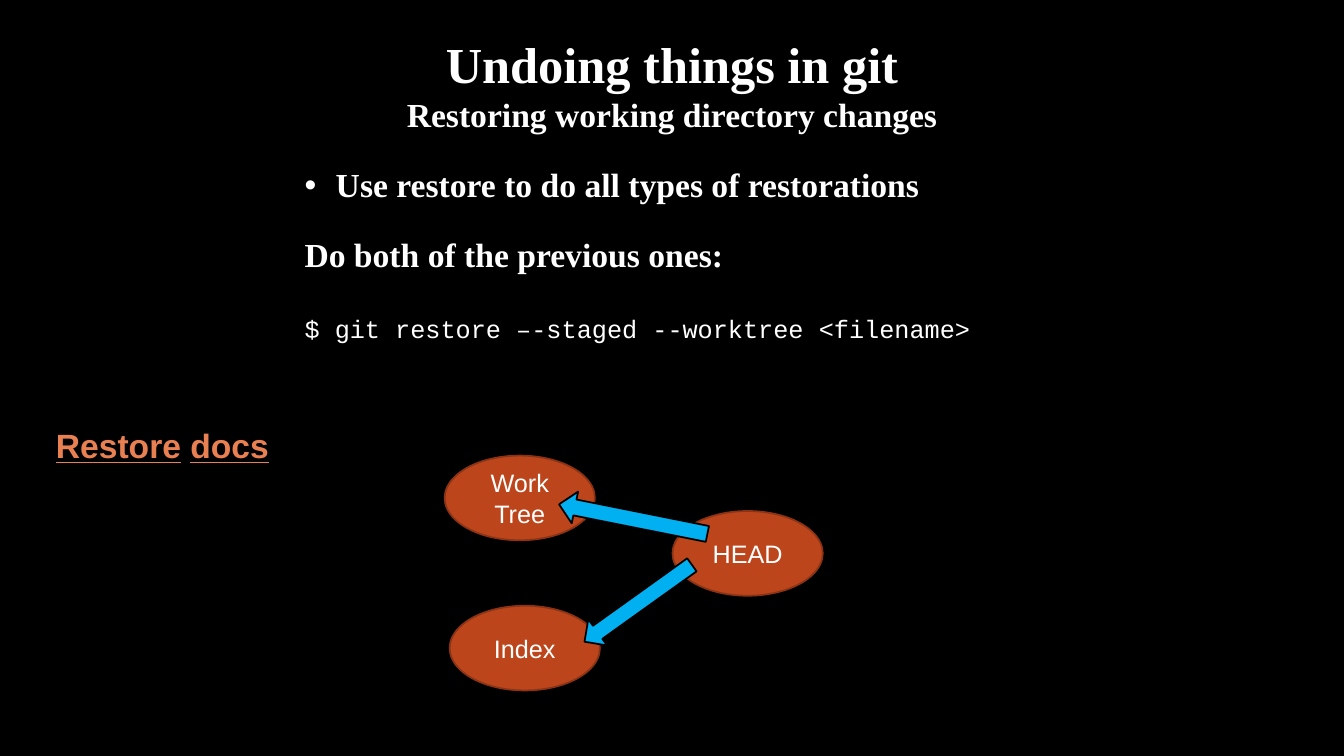
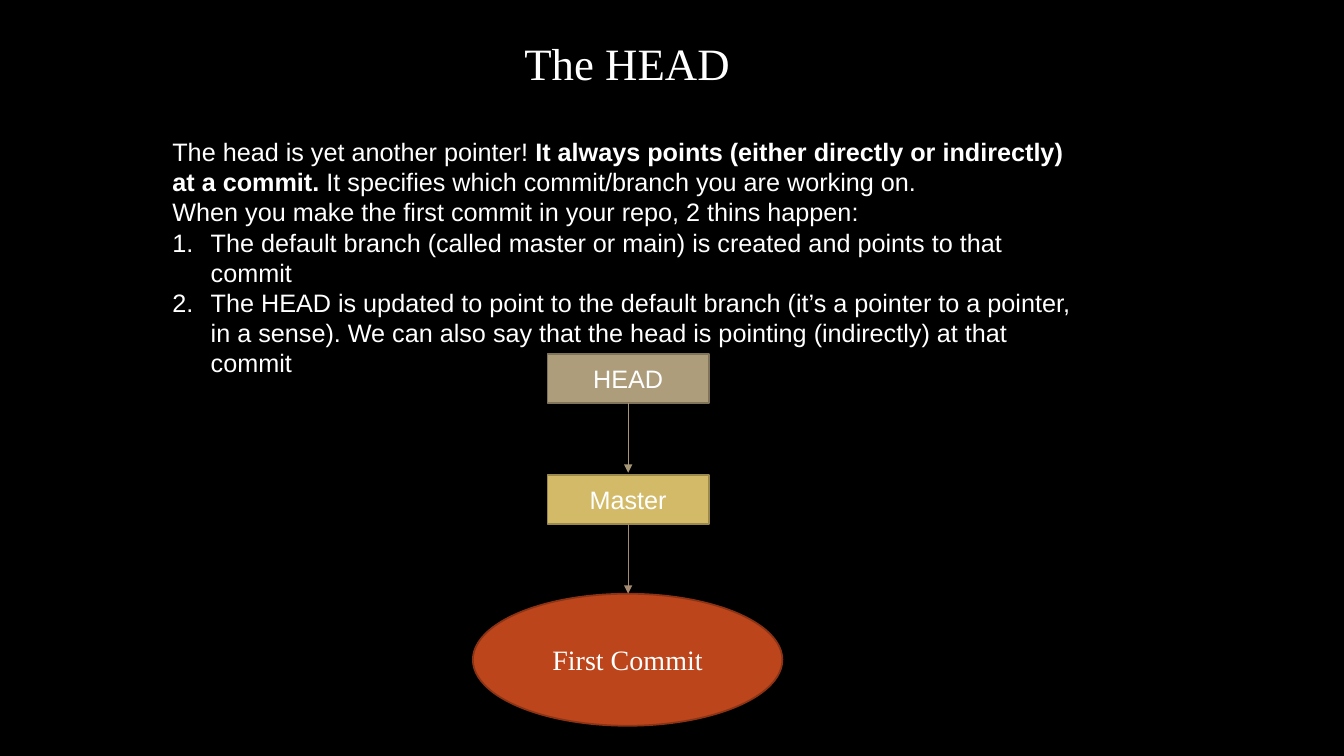
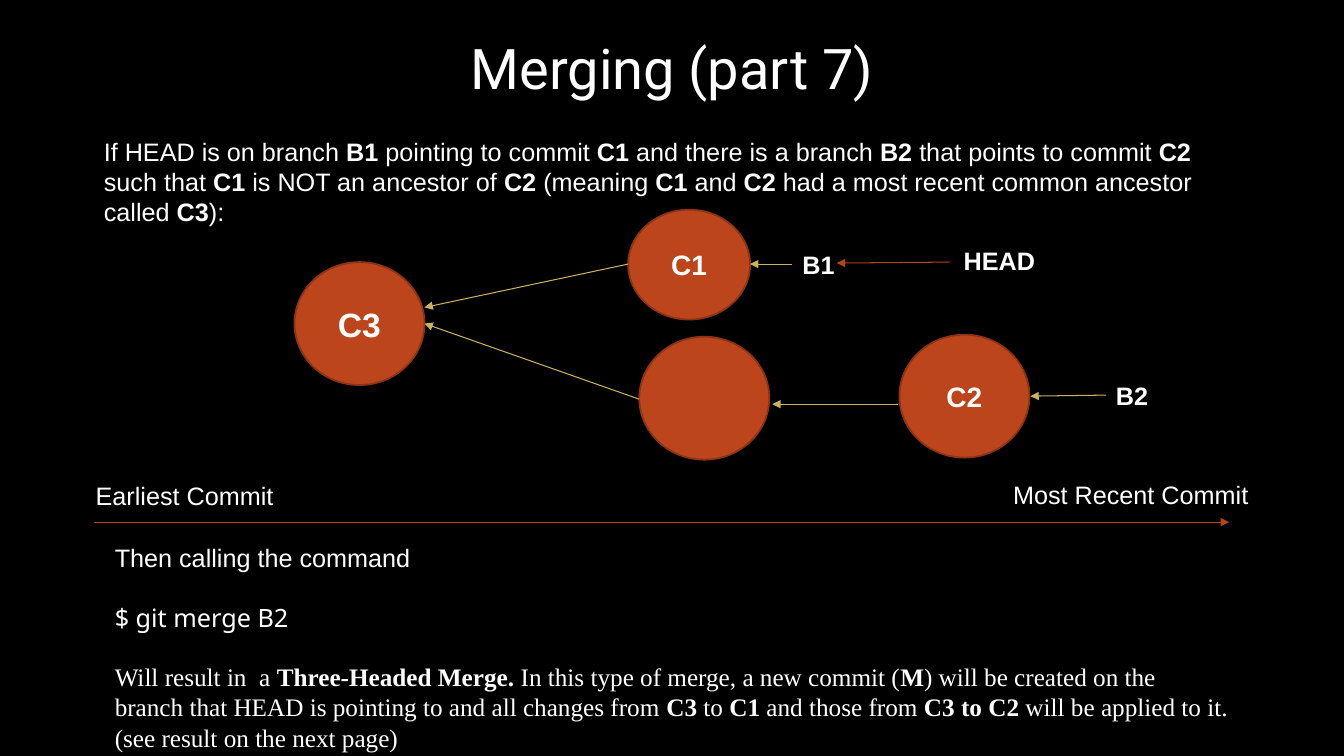
from lxml import etree
from pptx import Presentation
from pptx import util as u
from pptx.dml import color
from pptx.enum import shapes, text
from pptx.oxml import ns

HUES = {
    "back": "000000", "text": "FFFFFF", "link": "E98052",
    "rust": "BC451B", "rim": "8B3314", "blue": "00B0F0",
    "gold": "D3BA68", "gold rim": "9C8A4D", "sand": "AD9D7B", "sand rim": "80745B",
    "brown": "A58B72", "khaki": "A59675", "straw": "CAB263", "brick": "B4421A",
}
SANS, SERIF, CODE = "Arial", "Times New Roman", "Courier New"
LEFT, MID = text.PP_ALIGN.LEFT, text.PP_ALIGN.CENTER
KIND = shapes.MSO_SHAPE


def hue(name):
    return color.RGBColor.from_string(HUES[name])


def sub(node, tag, **attrs):
    return etree.SubElement(node, ns.qn(tag), **attrs)


class Deck:
    def __init__(self):
        self.file = Presentation()
        self.file.slide_width = u.Inches(13.33)
        self.file.slide_height = u.Inches(7.5)
        fill = self.file.slide_master.background.fill
        fill.solid()
        fill.fore_color.rgb = hue("back")

    def page(self):
        layout = self.file.slide_layouts[1 if True else 0]
        self.slide = self.file.slides.add_slide(layout)

    def run(self, para, words, size=18, font=SANS, bold=False, tint="text", line=None):
        run = para.add_run()
        run.text = words
        face = run.font
        face.size, face.name, face.bold, face.underline = u.Pt(size), font, bold, line
        face.color.rgb = hue(tint)

    def para(self, frame, first, words, align=LEFT, gap=0, mark=None, dent=0, bold=False, **look):
        para = frame.paragraphs[0] if first else frame.add_paragraph()
        para.alignment = align
        para.space_before = u.Pt(gap)
        prop = para._p.get_or_add_pPr()
        prop.set("marL", str(u.Inches(dent)))
        prop.set("indent", str(-u.Inches(dent)))
        if mark == "dot":
            sub(prop, "a:buFont", typeface=SANS)
            sub(prop, "a:buChar", char="•")
        elif mark == "num":
            sub(prop, "a:buFont", typeface=SANS)
            sub(prop, "a:buAutoNum", type="arabicPeriod")
        else:
            sub(prop, "a:buNone")
        for i, part in enumerate(words.split("*")):
            if part:
                self.run(para, part, bold=bold or i % 2 == 1, **look)
        return para

    def fill(self, shape, box, paras):
        shape.left, shape.top, shape.width, shape.height = map(u.Inches, box)
        frame = shape.text_frame
        frame.word_wrap = True
        frame.auto_size = text.MSO_AUTO_SIZE.NONE
        frame.vertical_anchor = text.MSO_ANCHOR.TOP
        for i, (words, look) in enumerate(paras):
            self.para(frame, i == 0, words, **look)
        return frame

    def title(self, box, *paras):
        self.fill(self.slide.shapes.title, box, [(w, dict(align=MID, **k)) for w, k in paras])

    def body(self, box, *paras):
        self.fill(self.slide.placeholders[1], box, paras)

    def note(self, box, *paras):
        shape = self.slide.shapes.add_textbox(*map(u.Inches, box))
        return self.fill(shape, box, paras)

    def shape(self, kind, box, words="", fill="rust", rim="rim", turn=0, **look):
        shape = self.slide.shapes.add_shape(kind, *map(u.Inches, box))
        shape.shadow.inherit = False
        shape.rotation = turn
        shape.fill.solid()
        shape.fill.fore_color.rgb = hue(fill)
        shape.line.color.rgb = hue(rim)
        shape.line.width = u.Pt(1.25)
        if words:
            self.para(shape.text_frame, True, words, align=MID, **look)

    def arrow(self, start, end, tint):
        line = self.slide.shapes.add_connector(
            shapes.MSO_CONNECTOR.STRAIGHT, *map(u.Inches, start + end))
        line.line.color.rgb = hue(tint)
        line.line.width = u.Pt(0.75)
        sub(line.line._get_or_add_ln(), "a:tailEnd", type="triangle")
        sub(line._element.spPr, "a:effectLst")


def undo(deck):
    deck.page()
    head = dict(size=24, font=SERIF, bold=True)
    deck.title((2.82, 0.28, 7.69, 1.11),
               ("Undoing things in git", dict(head, size=36)),
               ("Restoring working directory changes", head))
    deck.body((2.92, 1.58, 7.49, 2.22),
              ("Use restore to do all types of restorations", dict(head, mark="dot", dent=0.31)),
              ("Do both of the previous ones:", dict(head, gap=21)),
              ("$ git restore –-staged --worktree <filename>", dict(font=CODE, gap=28)))
    for x, y, words in ((4.41, 4.52, "Work Tree"), (6.67, 5.07, "HEAD"), (4.46, 6.01, "Index")):
        deck.shape(KIND.OVAL, (x, y, 1.49, 0.84), words)
    for box, turn in (((6.12, 4.4, 0.32, 1.5), 101.3), ((6.17, 5.33, 0.32, 1.31), 54.4)):
        deck.shape(KIND.DOWN_ARROW, box, fill="blue", rim="back", turn=turn)
    para = deck.note((0.4, 4.17, 2.42, 0.5), ("", dict(align=MID))).paragraphs[0]
    for words, tint, line in (("Restore", "link", True), (" ", "text", False), ("docs", "link", True)):
        deck.run(para, words, size=24, bold=True, tint=tint, line=line)


def head(deck):
    deck.page()
    deck.title((2.93, 0.3, 6.58, 0.64), ("The HEAD", dict(size=32, font=SERIF)))
    step = dict(mark="num", dent=0.38)
    deck.body((1.61, 1.3, 9.21, 2.52),
              ("The head is yet another pointer! *It always points (either directly or indirectly) "
               "at a commit. *It specifies which commit/branch you are working on.", {}),
              ("When you make the first commit in your repo, 2 thins happen:", {}),
              ("The default branch (called master or main) is created and points to that commit", step),
              ("The HEAD is updated to point to the default branch (it’s a pointer to a pointer, "
               "in a sense). We can also say that the head is pointing (indirectly) at that commit", step))
    deck.shape(KIND.OVAL, (4.69, 5.89, 3.07, 1.31), "First Commit", size=20, font=SERIF)
    for y, words, fill, tint, end in ((3.51, "HEAD", "sand", "khaki", 4.69),
                                      (4.71, "Master", "gold", "brown", 5.89)):
        deck.shape(KIND.RECTANGLE, (5.43, y, 1.6, 0.49), words, fill, fill + " rim")
        deck.arrow((6.23, y + 0.49), (6.23, end), tint)


def merge(deck):
    deck.page()
    deck.title((2.75, 0.28, 7.83, 0.77), ("Merging (part 7)", dict(size=40, font="Roboto")))
    deck.body((0.93, 1.3, 11.47, 0.71),
              ("If HEAD is on branch *B1 *pointing to commit *C1* and there is a branch *B2* that "
               "points to commit *C2* such that *C1* is NOT an ancestor of *C2* (meaning *C1* and "
               "*C2 *had a most recent common ancestor called *C3*):", {}))
    for box, words, size in (((6.23, 2.08, 1.21, 1.09), "C1", 20), ((6.34, 3.34, 1.29, 1.22), "", 20),
                             ((8.92, 3.32, 1.29, 1.22), "C2", 20), ((2.92, 2.6, 1.29, 1.22), "C3", 24)):
        deck.shape(KIND.OVAL, box, words, size=size, bold=True)
    for start, end, tint in (((6.23, 2.62), (4.21, 3.05), "straw"),
                             ((8.91, 4.01), (7.66, 4.01), "straw"),
                             ((6.34, 3.96), (4.21, 3.21), "straw"),
                             ((10.97, 3.92), (10.22, 3.93), "straw"),
                             ((7.86, 2.62), (7.44, 2.62), "straw"),
                             ((9.42, 2.6), (8.3, 2.61), "brick"),
                             ((0.93, 5.18), (12.19, 5.18), "brick")):
        deck.arrow(start, end, tint)
    for x, y, wide, words in ((0.85, 4.72, 2.59, "Earliest Commit"),
                              (9.95, 4.71, 2.59, "Most Recent Commit"),
                              (10.97, 3.72, 0.88, "*B2*"),
                              (9.46, 2.38, 1.39, "*HEAD*"),
                              (7.86, 2.42, 0.79, "*B1*")):
        deck.note((x, y, wide, 0.4), (words, {}))
    deck.note((1.04, 5.33, 11.26, 2.22),
              ("Then calling the command", {}),
              ("$ git merge B2", dict(font="Noto Sans", gap=21)),
              ("Will result in  a *Three-Headed Merge. *In this type of merge, a new commit (*M*) will "
               "be created on the branch that HEAD is pointing to and all changes from *C3* to *C1* "
               "and those from *C3 to C2* will be applied to it. (see result on the next page)",
               dict(font=SERIF, gap=21)))


def main():
    deck = Deck()
    for build in (undo, head, merge):
        build(deck)
    deck.file.save("out.pptx")


if __name__ == "__main__":
    main()
